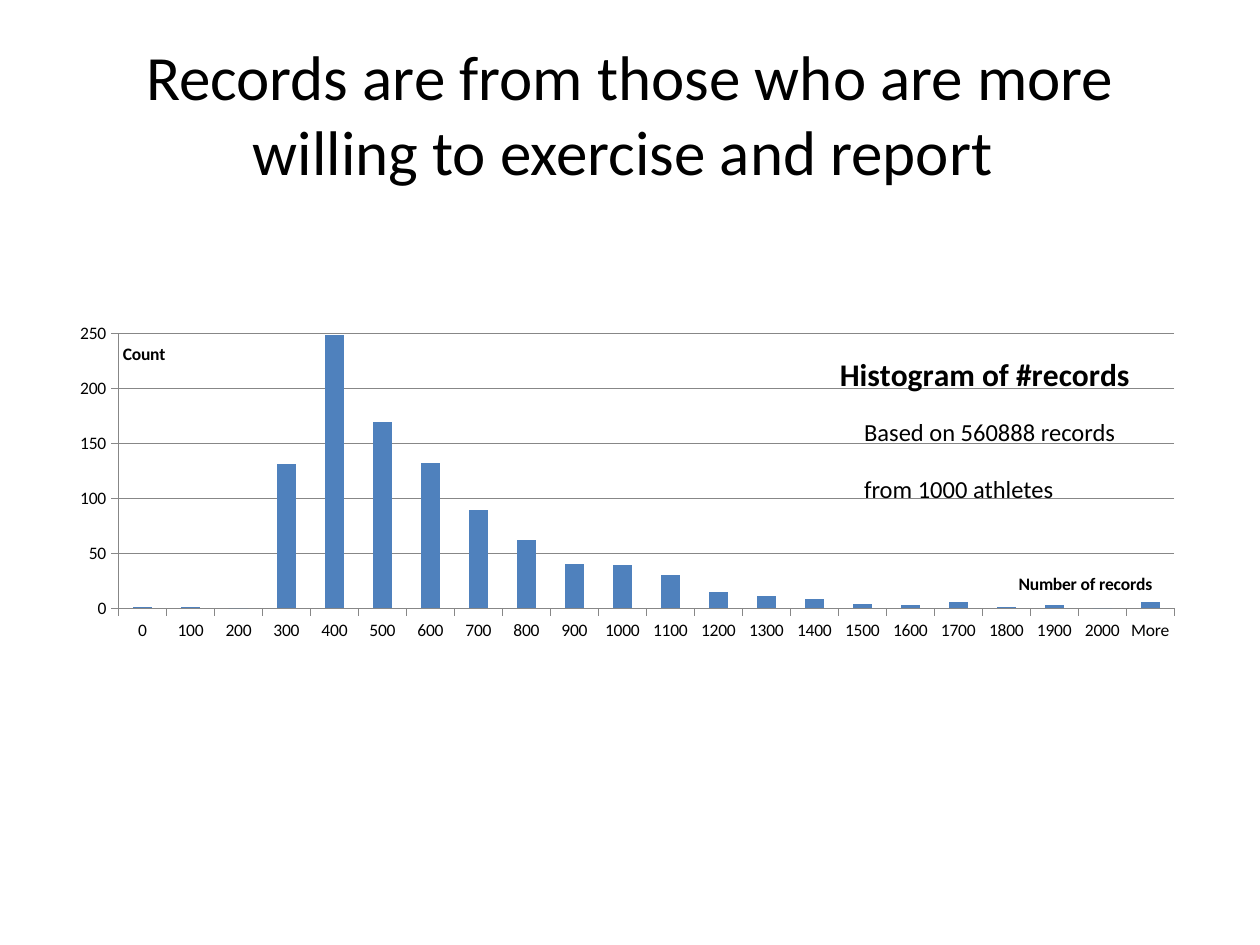
from dataclasses import dataclass

from lxml.etree import SubElement
from pptx import Presentation
from pptx.chart.data import CategoryChartData
from pptx.dml.color import RGBColor as RGB
from pptx.enum.chart import XL_CHART_TYPE as ChartType, XL_TICK_MARK as Tick
from pptx.enum.text import MSO_ANCHOR as Anchor, PP_ALIGN as Align
from pptx.oxml.ns import qn
from pptx.util import Inches, Pt


@dataclass(frozen=True)
class Theme:
    font: str = "Calibri"
    text: RGB = RGB(0, 0, 0)
    bar: RGB = RGB(0x4F, 0x81, 0xBD)
    line: RGB = RGB(0x87, 0x87, 0x87)
    title_size: int = 36
    chart_title_size: int = 18
    note_size: int = 14
    label_size: int = 10


def set_layout(element, x, y, w=None, h=None):
    """Place a chart part by fractions of the chart's width and height."""
    layout = element.find(qn("c:layout"))
    if layout is None:
        layout = SubElement(element, qn("c:layout"))
        element.insert(0, layout)
    manual = SubElement(layout, qn("c:manualLayout"))
    settings = [("xMode", "edge"), ("yMode", "edge"), ("x", x), ("y", y)]
    if w is not None:
        settings = [("layoutTarget", "inner")] + settings + [("w", w), ("h", h)]
    for name, value in settings:
        SubElement(manual, qn(f"c:{name}")).set("val", str(value))


class SlideBuilder:
    def __init__(self, slide, theme):
        self.slide = slide
        self.theme = theme

    def style(self, font, size, bold=False):
        font.name = self.theme.font
        font.size = Pt(size)
        font.bold = bold
        font.color.rgb = self.theme.text

    def add_run(self, p, text, size, bold=False):
        r = p.add_run()
        r.text = text
        self.style(r.font, size, bold)

    def title(self, text, x, y, w, h):
        sp = self.slide.shapes.title
        sp.left, sp.top, sp.width, sp.height = map(Inches, (x, y, w, h))
        tf = sp.text_frame
        tf.word_wrap = True
        tf.vertical_anchor = Anchor.MIDDLE
        p = tf.paragraphs[0]
        p.alignment = Align.CENTER
        self.add_run(p, text, self.theme.title_size)

    def note(self, lines, x, y, w, h, gap):
        sp = self.slide.shapes.add_textbox(*map(Inches, (x, y, w, h)))
        tf = sp.text_frame
        tf.word_wrap = True
        for i, line in enumerate(lines):
            p = tf.add_paragraph() if i else tf.paragraphs[0]
            p.space_before = Pt(gap if i else 0)
            self.add_run(p, line, self.theme.note_size)

    def chart_label(self, title, text, size, x, y):
        self.add_run(title.text_frame.paragraphs[0], text, size, bold=True)
        title.text_frame._txBody.bodyPr.set("rot", "0")
        set_layout(title._element, x, y)
        title._element.find(qn("c:overlay")).set("val", "1")

    def histogram(self, bins, counts, x, y, w, h):
        theme = self.theme
        data = CategoryChartData()
        data.categories = bins
        data.add_series("Series 1", counts)
        chart = self.slide.shapes.add_chart(
            ChartType.COLUMN_CLUSTERED, *map(Inches, (x, y, w, h)), data).chart
        self.style(chart.font, theme.label_size)
        chart.has_legend = False
        chart.has_title = True
        self.chart_label(chart.chart_title, "Histogram of #records",
                         theme.chart_title_size, 0.68, 0.15)

        plot = chart.plots[0]
        plot.gap_width = 150
        plot.vary_by_categories = False
        fill = plot.series[0].format.fill
        fill.solid()
        fill.fore_color.rgb = theme.bar

        values, categories = chart.value_axis, chart.category_axis
        values.minimum_scale, values.maximum_scale = 0, 250
        values.major_unit = 50
        values.has_major_gridlines = True
        for part in (values, categories, values.major_gridlines):
            part.format.line.color.rgb = theme.line
            part.format.line.width = Pt(0.75)
        for axis, text, left, top in ((values, "Count", 0.05, 0.13),
                                      (categories, "Number of records", 0.84, 0.77)):
            axis.major_tick_mark = Tick.OUTSIDE
            axis.minor_tick_mark = Tick.NONE
            self.chart_label(axis.axis_title, text, theme.label_size, left, top)
        set_layout(chart._chartSpace.chart.plotArea, 0.049, 0.115, 0.931, 0.762)


def main():
    prs = Presentation()
    prs.slide_width, prs.slide_height = Inches(10), Inches(7.5)
    s = SlideBuilder(prs.slides.add_slide(prs.slide_layouts[5]), Theme())

    s.title("Records are from those who are more willing to exercise and report ",
            0.5, 0.3, 9, 1.19)
    bins = [str(limit) for limit in range(0, 2001, 100)] + ["More"]
    counts = [1, 1, 0, 131, 249, 170, 132, 89, 62, 40, 39,
              30, 15, 11, 8, 4, 3, 6, 1, 3, 0, 6]
    s.histogram(bins, counts, 0.5, 2.32, 9, 2.86)
    s.note(["Based on 560888 records", "from 1000 athletes"],
           6.76, 3.26, 2.23, 0.57, gap=16)
    prs.save("out.pptx")


if __name__ == "__main__":
    main()
